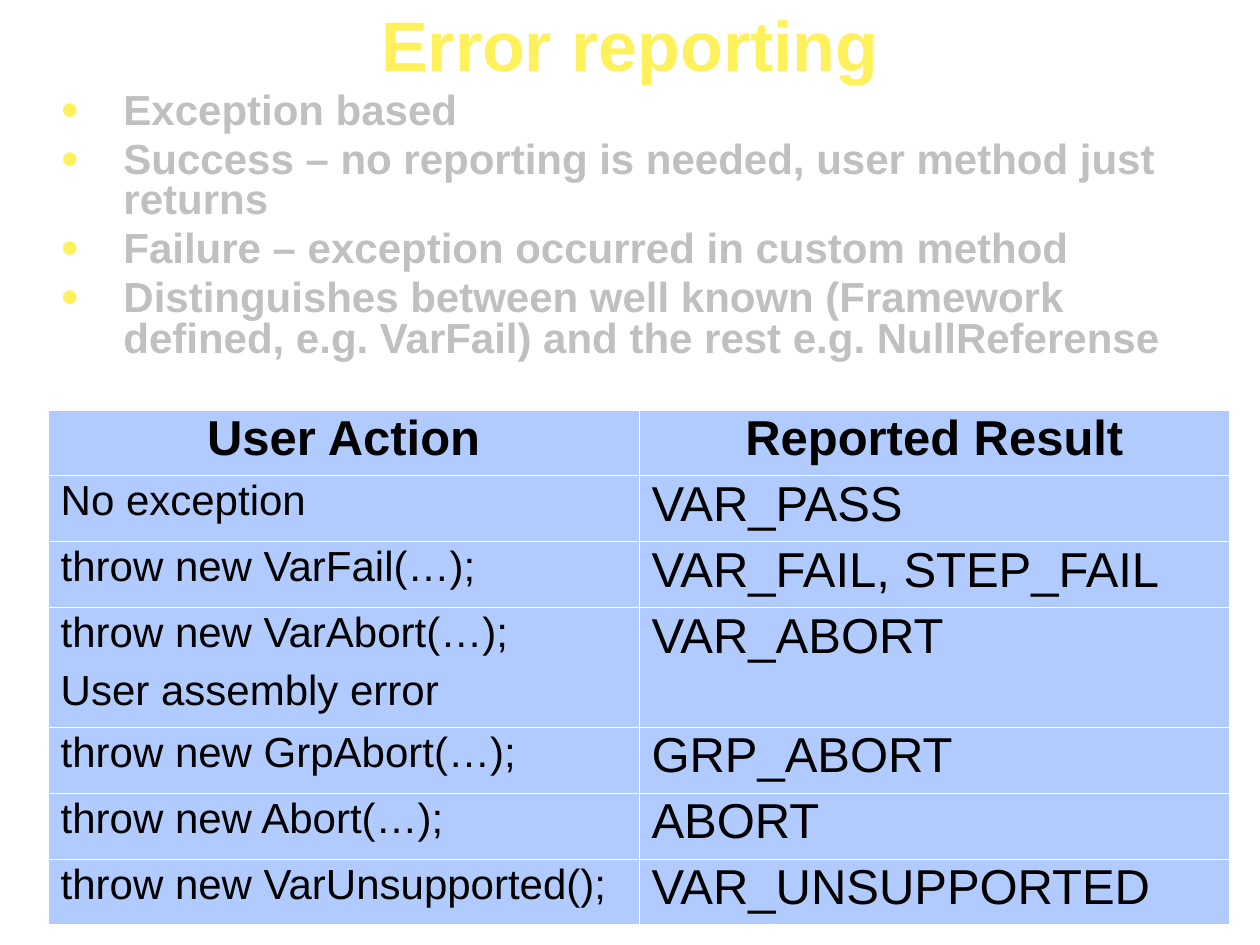
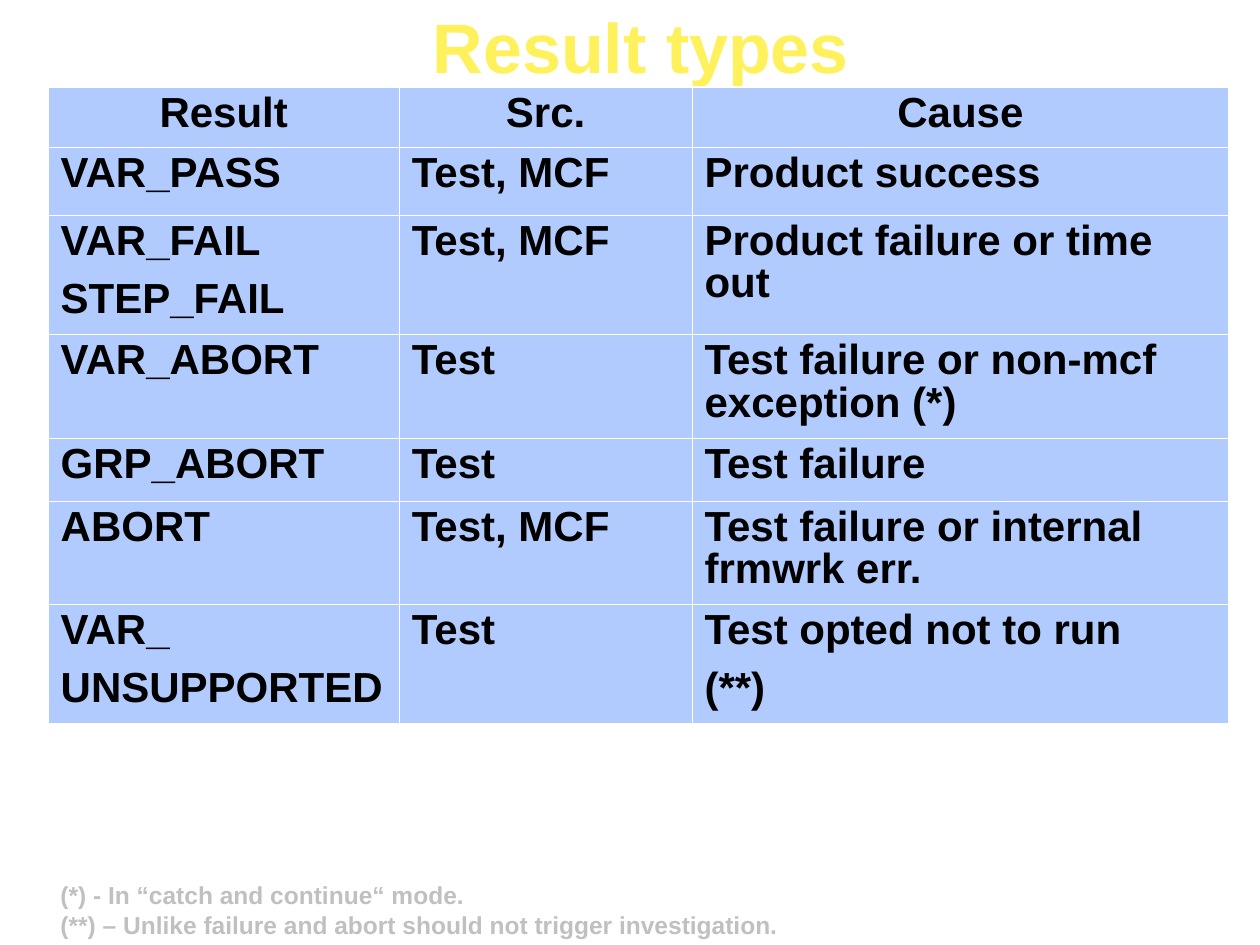
from lxml import etree
from pptx import Presentation
from pptx.dml import color
from pptx.enum import text
from pptx.oxml import ns
from pptx.util import Cm, Pt

HUES = {"title": "FFF15B", "body": "C0C0C0", "cell": "6699FF",
        "ink": "000000", "rule": "FFFFFF"}
FACE = "Arial"
LEFT, WIDE = 0.97, 23.82  # shared left edge and body width, cm
THIN, THICK = 0.45, 1.08  # inner and outer table rules, pt


def paint(name):
    return color.RGBColor.from_string(HUES[name])


def sub(node, tag, **attrs):
    return etree.SubElement(node, ns.qn(tag), attrs)


def style(frame, size, hue, bold=True, line=0.9, gap=0, align=None):
    """Format every paragraph; the first gets no space before."""
    for i, para in enumerate(frame.paragraphs):
        para.line_spacing = line
        para.space_before = Pt(gap if i else 0)
        para.alignment = align
        for run in para.runs:
            font = run.font
            font.name, font.size, font.bold = FACE, Pt(size), bold
            font.color.rgb = paint(hue)


def add_box(slide, left, top, width, height, words):
    box = slide.shapes.add_textbox(Cm(left), Cm(top), Cm(width), Cm(height))
    frame = box.text_frame
    frame.word_wrap = True
    frame.text = words
    return frame


def add_title(slide, words, left=0, top=0.1):
    frame = add_box(slide, left, top, 25.4, 1.78, words)
    frame.vertical_anchor = text.MSO_ANCHOR.MIDDLE
    style(frame, 40, "title", align=text.PP_ALIGN.CENTER)


def add_list(slide, top, height, lines):
    frame = add_box(slide, LEFT, top, WIDE, height, "\n".join(lines))
    for para in frame.paragraphs:
        props = para._p.get_or_add_pPr()
        props.set("marL", str(Cm(1.27)))
        props.set("indent", str(Cm(-1.27)))
        sub(sub(props, "a:buClr"), "a:srgbClr", val=HUES["title"])
        sub(props, "a:buSzPct", val="75000")
        sub(props, "a:buFont", typeface=FACE)
        sub(props, "a:buChar", char="●")
    style(frame, 24, "body", line=0.8, gap=5)


def add_note(slide, top, height, lines):
    frame = add_box(slide, LEFT, top, WIDE, height, "\n".join(lines))
    style(frame, 14, "body", line=0.7, gap=5.2)


def fill_cell(cell, outer):
    """Half-clear fill, with thick rules on the outer sides."""
    props = cell._tc.get_or_add_tcPr()
    for side in "LRTB":
        width = THICK if side in outer else THIN
        rule = sub(props, f"a:ln{side}", w=str(Pt(width)))
        sub(sub(rule, "a:solidFill"), "a:srgbClr", val=HUES["rule"])
    fill = sub(sub(props, "a:solidFill"), "a:srgbClr", val=HUES["cell"])
    sub(fill, "a:alpha", val="50000")


def add_grid(slide, top, cols, tall, rows, sizes, bold):
    """Table with a centred bold head; sizes holds one size per column."""
    shape = slide.shapes.add_table(len(rows), len(cols), Cm(LEFT), Cm(top),
                                   Cm(sum(cols)), Cm(sum(tall)))
    grid = shape.table
    grid.first_row = grid.horz_banding = False
    for col, width in zip(grid.columns, cols):
        col.width = Cm(width)
    for r, row in enumerate(rows):
        grid.rows[r].height = Cm(tall[r])
        for c, words in enumerate(row):
            cell = grid.cell(r, c)
            cell.text_frame.text = words
            head = r == 0
            size = max(sizes) if head else sizes[c]
            style(cell.text_frame, size, "ink", bold or head, gap=9,
                  align=text.PP_ALIGN.CENTER if head else None)
            edges = {"L": c == 0, "R": c == len(cols) - 1,
                     "T": head, "B": r == len(rows) - 1}
            fill_cell(cell, [side for side, on in edges.items() if on])


def main():
    deck = Presentation()
    deck.slide_width, deck.slide_height = Cm(25.4), Cm(19.05)
    blank = deck.slide_layouts[6]

    # Error reporting
    slide = deck.slides.add_slide(blank)
    add_title(slide, "Error reporting")
    add_list(slide, 1.75, 5.66, [
        "Exception based",
        "Success – no reporting is needed, user method just returns",
        "Failure – exception occurred in custom method",
        "Distinguishes between well known (Framework defined, "
        "e.g. VarFail) and the rest e.g. NullReferense",
    ])
    actions = [
        ("User Action", "Reported Result"),
        ("No exception", "VAR_PASS"),
        ("throw new VarFail(…);", "VAR_FAIL, STEP_FAIL"),
        ("throw new VarAbort(…);\nUser assembly error", "VAR_ABORT"),
        ("throw new GrpAbort(…);", "GRP_ABORT"),
        ("throw new Abort(…);", "ABORT"),
        ("throw new VarUnsupported();", "VAR_UNSUPPORTED"),
    ]
    tall = [2.41 if "\n" in row[0] else 1.33 for row in actions]
    add_grid(slide, 8.26, [WIDE / 2] * 2, tall, actions, (24, 28), False)

    # Result types
    slide = deck.slides.add_slide(blank)
    add_title(slide, "Result types", 0.22, 0.14)
    results = [
        ("Result", "Src.", "Cause"),
        ("VAR_PASS", "Test, MCF", "Product success"),
        ("VAR_FAIL\nSTEP_FAIL", "Test, MCF", "Product failure or time out"),
        ("VAR_ABORT", "Test", "Test failure or non-mcf exception (*)"),
        ("GRP_ABORT", "Test", "Test failure"),
        ("ABORT", "Test, MCF", "Test failure or internal frmwrk err."),
        ("VAR_\nUNSUPPORTED", "Test", "Test opted not to run\n(**)"),
    ]
    add_grid(slide, 1.76, [7.08, 5.9, 10.82],
             [1.21, 1.37, 2.41, 2.08, 1.27, 2.08, 2.41],
             results, (24, 24, 24), True)
    add_note(slide, 17.78, 1.27, [
        "(*) - In “catch and continue“ mode.",
        "(**) – Unlike failure and abort should not trigger investigation.",
    ])

    deck.save("out.pptx")


if __name__ == "__main__":
    main()
